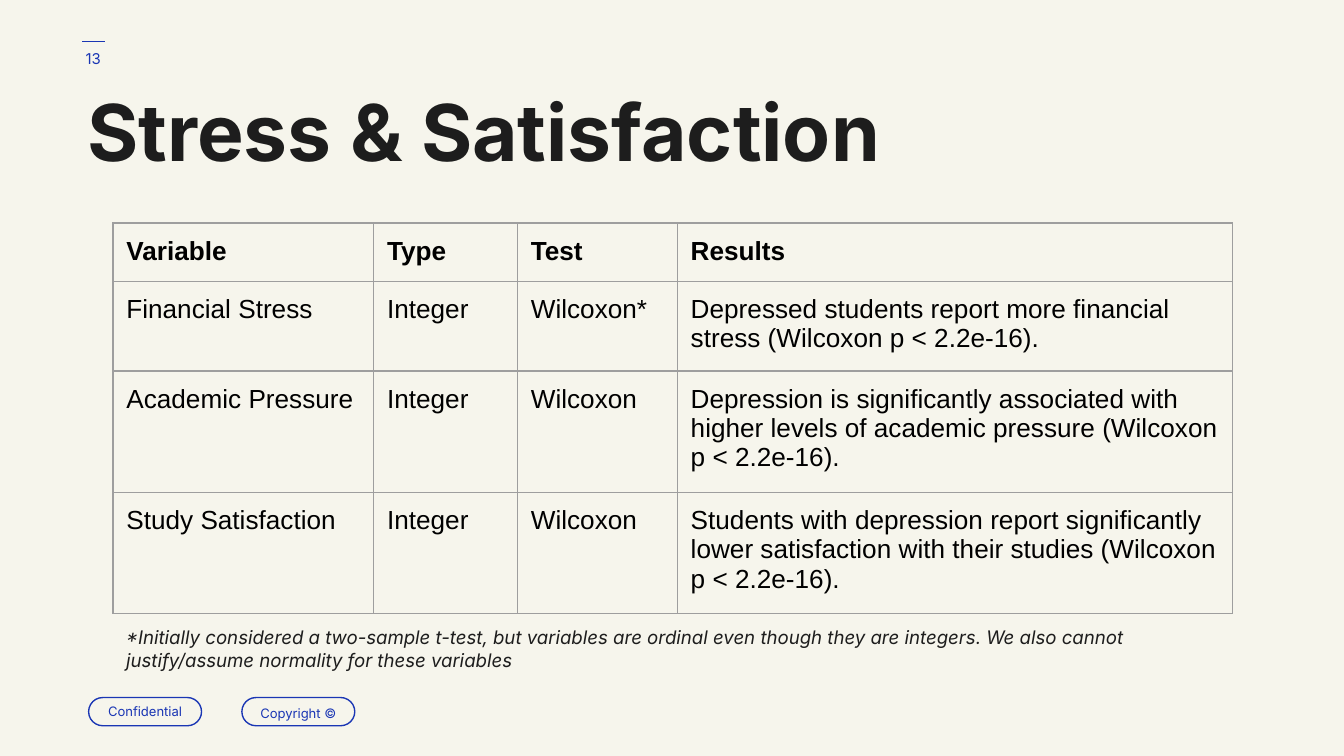
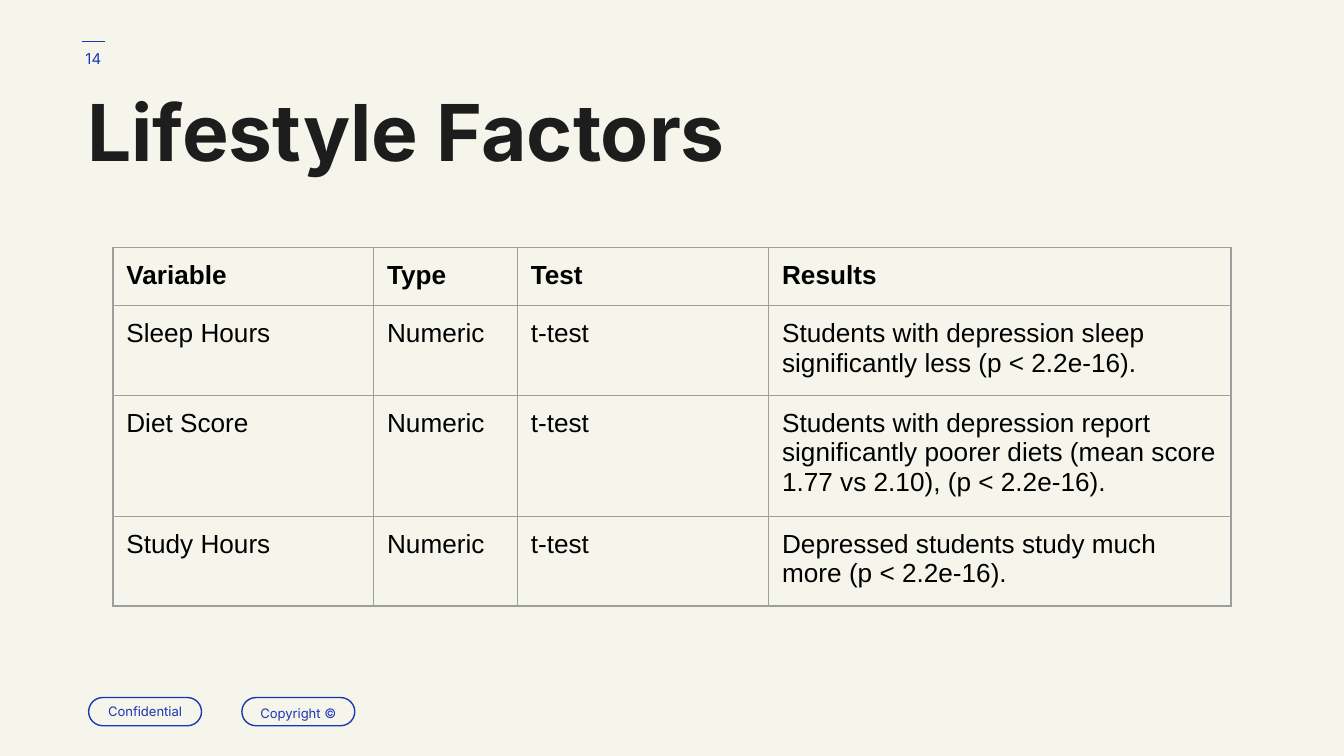
from dataclasses import dataclass

from lxml.etree import SubElement
from pptx import Presentation
from pptx.dml.color import RGBColor
from pptx.enum.shapes import MSO_CONNECTOR, MSO_SHAPE
from pptx.enum.text import MSO_ANCHOR, PP_ALIGN
from pptx.oxml import parse_xml
from pptx.oxml.ns import nsdecls, qn
from pptx.util import Inches, Pt


@dataclass(frozen=True)
class Theme:
    background: str = "F6F5EC"
    accent: str = "1A36B4"
    ink: str = "1D1D1D"
    table_ink: str = "000000"
    grid: str = "9E9E9E"
    font: str = "Inter"
    table_font: str = "Arial"
    title_size: int = 42
    table_size: int = 14
    note_size: int = 10
    number_size: int = 8
    pill_size: int = 7
    line_width: float = 0.75
    inset: float = 0.1


@dataclass(frozen=True)
class Pill:
    text: str
    left: float
    line_spacing: float | None = None


@dataclass(frozen=True)
class ResultsSlide:
    number: int
    title: str
    title_width: float
    table_top: float
    columns: tuple[float, ...]
    rows: tuple[tuple[str, ...], ...]
    note: str = ""


THEME = Theme()
HEADER = ("Variable", "Type", "Test", "Results")
TABLE_LEFT = 0.84
ROW_HEIGHT = 0.42
PILLS = (Pill("Confidential", 0.66), Pill("Copyright ©", 1.8, 1.15))

SLIDES = (
    ResultsSlide(
        13, "Stress & Satisfaction", 6.46, 1.66, (1.94, 1.07, 1.19, 4.13),
        (
            ("Financial Stress", "Integer", "Wilcoxon*",
             "Depressed students report more financial stress "
             "(Wilcoxon p < 2.2e-16)."),
            ("Academic Pressure", "Integer", "Wilcoxon",
             "Depression is significantly associated with higher levels of "
             "academic pressure (Wilcoxon p < 2.2e-16)."),
            ("Study Satisfaction", "Integer", "Wilcoxon",
             "Students with depression report significantly lower satisfaction "
             "with their studies (Wilcoxon p < 2.2e-16)."),
        ),
        "*Initially considered a two-sample t-test, but variables are ordinal "
        "even though they are integers. We also cannot justify/assume normality "
        "for these variables",
    ),
    ResultsSlide(
        14, "Lifestyle Factors", 6.07, 1.84, (1.94, 1.07, 1.87, 3.44),
        (
            ("Sleep Hours", "Numeric", "t-test",
             "Students with depression sleep significantly less (p < 2.2e-16)."),
            ("Diet Score", "Numeric", "t-test",
             "Students with depression report significantly poorer diets "
             "(mean score 1.77 vs 2.10), (p < 2.2e-16)."),
            ("Study Hours", "Numeric", "t-test",
             "Depressed students study much more (p < 2.2e-16)."),
        ),
    ),
)


def write_text(frame, text: str, size: float, color: str, font: str = THEME.font,
               bold: bool = False, italic: bool = False, align=PP_ALIGN.LEFT,
               line_spacing: float | None = None) -> None:
    """Fill a text frame with one formatted paragraph."""
    frame.text = text
    para = frame.paragraphs[0]
    para.alignment = align
    if line_spacing:
        para.line_spacing = line_spacing
    span = para.runs[0].font
    span.name, span.size = font, Pt(size)
    span.bold, span.italic = bold, italic
    span.color.rgb = RGBColor.from_string(color)


def set_insets(target) -> None:
    """Give a text frame or a table cell the shared margins."""
    target.margin_left = target.margin_right = Inches(THEME.inset)
    target.margin_top = target.margin_bottom = Inches(THEME.inset)


def fill_box(shape, anchor, text: str, size: float, color: str, **style) -> None:
    """Set the wrapping, margins and text of a box or shape."""
    frame = shape.text_frame
    frame.word_wrap = True
    frame.vertical_anchor = anchor
    set_insets(frame)
    write_text(frame, text, size, color, **style)


def add_text(page, left: float, top: float, width: float, height: float,
             text: str, size: float, color: str, anchor=MSO_ANCHOR.TOP,
             **style) -> None:
    box = page.shapes.add_textbox(
        Inches(left), Inches(top), Inches(width), Inches(height))
    fill_box(box, anchor, text, size, color, **style)


def style_line(line) -> None:
    line.color.rgb = RGBColor.from_string(THEME.accent)
    line.width = Pt(THEME.line_width)


def add_pill(page, pill: Pill) -> None:
    shape = page.shapes.add_shape(
        MSO_SHAPE.ROUNDED_RECTANGLE,
        Inches(pill.left), Inches(5.19), Inches(0.84), Inches(0.21))
    shape.adjustments[0] = 0.5
    shape.shadow.inherit = False
    shape.fill.background()
    style_line(shape.line)
    fill_box(shape, MSO_ANCHOR.MIDDLE, pill.text, THEME.pill_size, THEME.accent,
             align=PP_ALIGN.CENTER, line_spacing=pill.line_spacing)


def add_frame(page, content: ResultsSlide) -> None:
    """Draw what every slide shares: background, number, title and footer."""
    page.background.fill.solid()
    page.background.fill.fore_color.rgb = RGBColor.from_string(THEME.background)
    dash = page.shapes.add_connector(
        MSO_CONNECTOR.STRAIGHT,
        Inches(0.78), Inches(0.31), Inches(0.61), Inches(0.31))
    style_line(dash.line)
    SubElement(dash._element.spPr, qn("a:effectLst"))
    for pill in PILLS:
        add_pill(page, pill)
    add_text(page, 0.55, 0.65, content.title_width, 1.38, content.title,
             THEME.title_size, THEME.ink, bold=True, line_spacing=0.8)
    add_text(page, 0.46, 0.22, 0.47, 0.43, str(content.number),
             THEME.number_size, THEME.accent, anchor=MSO_ANCHOR.MIDDLE,
             align=PP_ALIGN.CENTER)


def add_borders(cell) -> None:
    properties = cell._tc.get_or_add_tcPr()
    for index, side in enumerate(("lnL", "lnR", "lnT", "lnB")):
        properties.insert(index, parse_xml(
            f'<a:{side} {nsdecls("a")} w="{Pt(THEME.line_width)}"><a:solidFill>'
            f'<a:srgbClr val="{THEME.grid}"/></a:solidFill></a:{side}>'))


def add_results_table(page, content: ResultsSlide) -> None:
    rows = (HEADER, *content.rows)
    table = page.shapes.add_table(
        len(rows), len(HEADER), Inches(TABLE_LEFT), Inches(content.table_top),
        Inches(sum(content.columns)), Inches(ROW_HEIGHT * len(rows))).table
    table.first_row = table.horz_banding = False
    for column, width in zip(table.columns, content.columns):
        column.width = Inches(width)
    for row_index, texts in enumerate(rows):
        table.rows[row_index].height = Inches(ROW_HEIGHT)
        for column_index, text in enumerate(texts):
            cell = table.cell(row_index, column_index)
            cell.fill.background()
            set_insets(cell)
            add_borders(cell)
            write_text(cell.text_frame, text, THEME.table_size, THEME.table_ink,
                       font=THEME.table_font, bold=row_index == 0)


def main() -> None:
    deck = Presentation()
    # Widescreen page
    deck.slide_width = Inches(10)
    deck.slide_height = deck.slide_width * 9 // 16
    blank = deck.slide_layouts[6]
    for content in SLIDES:
        page = deck.slides.add_slide(blank)
        add_frame(page, content)
        add_results_table(page, content)
        if content.note:
            add_text(page, TABLE_LEFT, 4.59, 8.32, 0.17, content.note,
                     THEME.note_size, THEME.ink, italic=True)
    deck.save("out.pptx")


if __name__ == "__main__":
    main()
